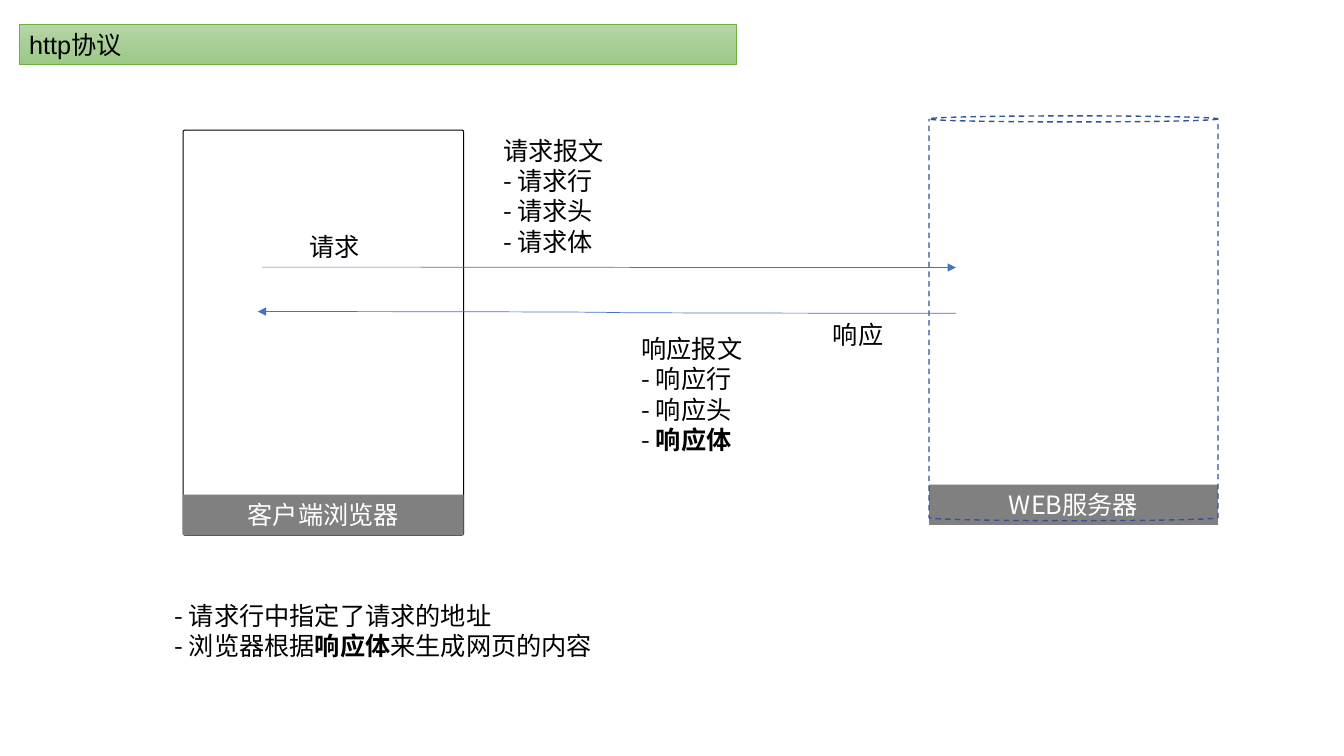
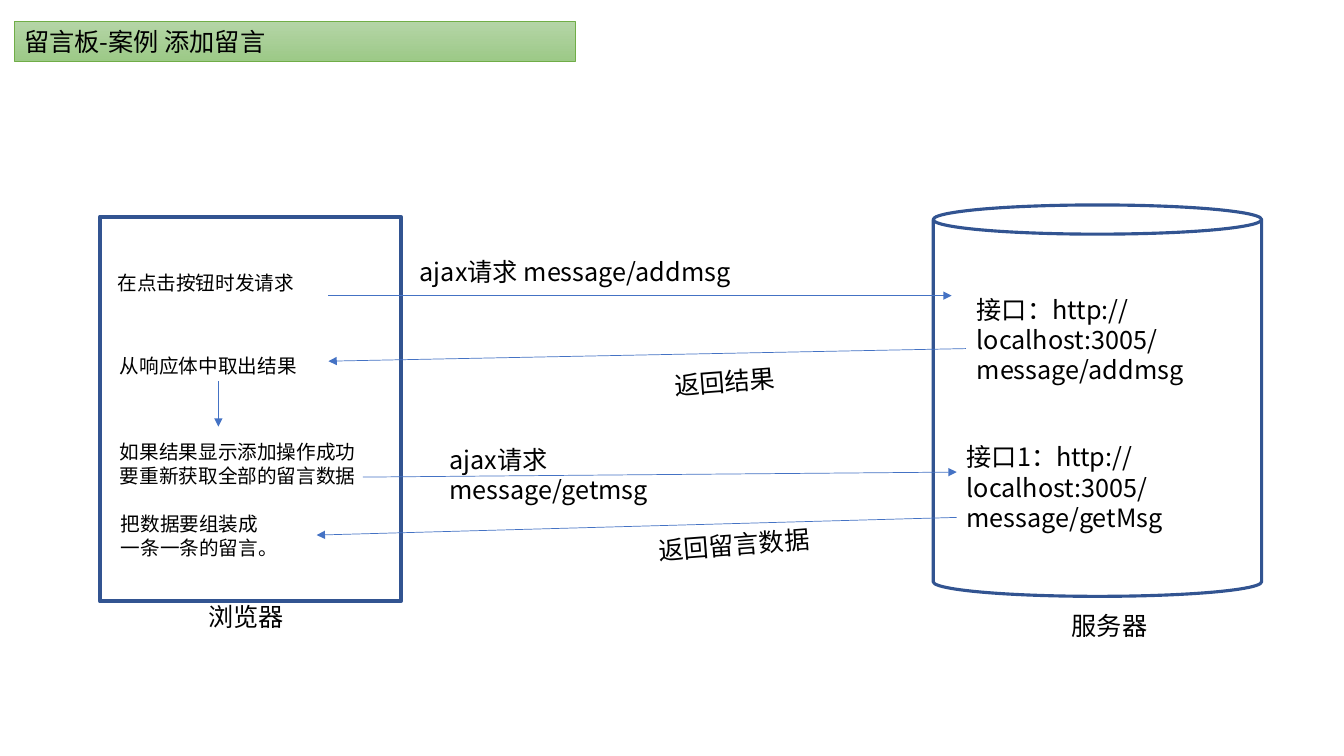
from dataclasses import dataclass

from lxml.etree import SubElement
from pptx import Presentation
from pptx.dml.color import RGBColor
from pptx.enum.dml import MSO_LINE as Dash
from pptx.enum.shapes import MSO_CONNECTOR as Link, MSO_SHAPE as Preset
from pptx.enum.text import MSO_ANCHOR as Anchor, MSO_AUTO_SIZE as AutoSize, PP_ALIGN as Align
from pptx.oxml.ns import qn
from pptx.util import Inches, Pt

# Shared look
CJK, LATIN = "Noto Sans CJK SC", "Arial"
BLACK, WHITE, GRAY = "000000", "FFFFFF", "808080"
NAVY, ARROW_BLUE = "325491", "4472C4"
GREEN_EDGE, GREEN_TOP, GREEN_BOTTOM = "70AD47", "B5D5A7", "9CC987"
BODY, SMALL = 18, 14
TILT = 355.5

# Grid of 160 columns by 90 rows, 12 to the inch
COLUMNS, ROWS, PER_INCH = 160, 90, 12
BAR_ROWS = 4.8


def grid(cells):
    return Inches(cells / PER_INCH)


@dataclass
class Box:
    left: float
    top: float
    width: float
    height: float

    def at(self, column, row, width, height):
        """A smaller box, placed from this box's top left corner."""
        return Box(self.left + column, self.top + row, width, height)

    def bottom_bar(self, drop=0):
        return self.at(0, self.height - BAR_ROWS + drop, self.width, BAR_ROWS)

    def emu(self):
        return [grid(v) for v in (self.left, self.top, self.width, self.height)]


def color(hex_string):
    return RGBColor.from_string(hex_string)


def write(frame, paragraphs, size=BODY, ink=BLACK, latin=CJK, align=None):
    """Fill a text frame; words between asterisks are bold."""
    frame.auto_size = AutoSize.SHAPE_TO_FIT_TEXT
    for index, words in enumerate(paragraphs):
        paragraph = frame.paragraphs[0] if index == 0 else frame.add_paragraph()
        paragraph.alignment = align or Align.LEFT
        for order, part in enumerate(words.split("*")):
            if not part:
                continue
            run = paragraph.add_run()
            run.text = part
            run.font.size = Pt(size)
            run.font.bold = order % 2 == 1
            run.font.color.rgb = color(ink)
            run.font.name = latin
            SubElement(run.font._element, qn("a:ea"), typeface=CJK)


def note(slide, box, column, row, width, *paragraphs, size=BODY, lines=None,
         wrap=False, turn=0, align=None):
    height = 1.2 + (lines or len(paragraphs)) * size / 5
    label = slide.shapes.add_textbox(*box.at(column, row, width, height).emu())
    label.rotation = turn
    label.text_frame.word_wrap = wrap
    write(label.text_frame, paragraphs, size, align=align)


def outline(slide, preset, box, fill=None, edge=None, weight=1, dash=None, corner=None):
    shape = slide.shapes.add_shape(preset, *box.emu())
    shape.shadow.inherit = False
    if corner is not None:
        shape.adjustments[0] = corner
    if fill:
        shape.fill.solid()
        shape.fill.fore_color.rgb = color(fill)
    else:
        shape.fill.background()
    if edge:
        shape.line.color.rgb = color(edge)
        shape.line.width = Pt(weight)
        shape.line.dash_style = dash
    else:
        shape.line.fill.background()
    return shape


def arrow(slide, box, x1, y1, x2, y2, kind=Link.STRAIGHT):
    ends = (box.left + x1, box.top + y1, box.left + x2, box.top + y2)
    link = slide.shapes.add_connector(kind, *[grid(v) for v in ends])
    link.line.color.rgb = color(ARROW_BLUE)
    link.line.width = Pt(0.5)
    properties = link.element.spPr
    SubElement(properties.find(qn("a:ln")), qn("a:tailEnd"), type="triangle")
    SubElement(properties, qn("a:effectLst"))


def title_band(slide, box, title, latin=CJK):
    band = outline(slide, Preset.RECTANGLE, box, edge=GREEN_EDGE, weight=0.5)
    band.fill.gradient()
    band.fill.gradient_angle = 270
    for stop, shade in zip(band.fill.gradient_stops, (GREEN_TOP, GREEN_BOTTOM)):
        stop.color.rgb = color(shade)
    band.text_frame.vertical_anchor = Anchor.MIDDLE
    write(band.text_frame, [title], latin=latin)


def name_bar(slide, box, name):
    bar = outline(slide, Preset.RECTANGLE, box, fill=GRAY)
    bar.text_frame.vertical_anchor = Anchor.MIDDLE
    write(bar.text_frame, [name], ink=WHITE, align=Align.CENTER)


# Slide 1: the protocol
def protocol_hosts(slide, client, server):
    name_bar(slide, server.bottom_bar(drop=0.5), "WEB服务器")
    outline(slide, Preset.ROUNDED_RECTANGLE, client, edge=BLACK, weight=0.75, corner=0.006)
    outline(slide, Preset.CAN, server, edge=NAVY, dash=Dash.DASH, corner=0.021)
    name_bar(slide, client.bottom_bar(), "客户端浏览器")


def protocol_messages(slide, channel):
    arrow(slide, channel, 1.2, 16.8, 83.8, 16.85, Link.CURVE)
    arrow(slide, channel, 83.8, 22.3, 0.7, 22.1, Link.CURVE)
    note(slide, channel, 5.6, 11.9, 8.5, "请求", align=Align.CENTER)
    note(slide, channel, 67.9, 22.4, 8.5, "响应", align=Align.CENTER)
    note(slide, channel, 28.7, 0.5, 14.5, "请求报文", "- 请求行", "- 请求头", "- 请求体")
    note(slide, channel, 45.2, 24.1, 15.4, "响应报文", "- 响应行", "- 响应头", "- *响应体*")


def protocol_slide(slide, page):
    title_band(slide, page.at(2.3, 2.9, 85.4, BAR_ROWS), "http协议", LATIN)
    protocol_hosts(slide, page.at(21.8, 15.5, 33.4, 48.2), page.at(110.6, 13.8, 34.4, 48.2))
    protocol_messages(slide, page.at(30, 15, 84, 40))
    note(slide, page, 19.6, 70.9, 53.3,
         "- 请求行中指定了请求的地址", "- 浏览器根据*响应体*来生成网页的内容")


# Slide 2: the message board
def browser_steps(slide, browser):
    outline(slide, Preset.RECTANGLE, browser, WHITE, NAVY, 3)
    note(slide, browser, 11.7, 45.2, 11.5, "浏览器", wrap=True)
    steps = [
        (0.9, 5.9, 23.6, "在点击按钮时发请求"),
        (1.2, 15.7, 23.6, "从响应体中取出结果"),
        (1.2, 26, 30.7, "如果结果显示添加操作成功", "要重新获取全部的留言数据"),
        (1.3, 34.6, 21.2, "把数据要组装成", "一条一条的留言。"),
    ]
    for step in steps:
        note(slide, browser, *step, size=SMALL)
    arrow(slide, browser, 14.1, 19.6, 14.1, 25)


def server_interfaces(slide, server):
    outline(slide, Preset.CAN, server, WHITE, NAVY, 2.25, corner=0.089)
    note(slide, server, 15.3, 47.7, 11.5, "服务器")
    for column, row, address in [
        (4, 10, "接口：http://localhost:3005/message/addmsg"),
        (2.8, 27.6, "接口1：http://localhost:3005/message/getMsg"),
    ]:
        note(slide, server, column, row, 37, address, lines=3, wrap=True)


def board_messages(slide, channel):
    for ends in [(3.1, 5.2, 77.3, 5.2), (79, 11.5, 3.1, 13),
                 (7.2, 26.8, 77.9, 26.2), (77.9, 31.6, 1.7, 33.7)]:
        arrow(slide, channel, *ends)
    note(slide, channel, 12.8, -0.1, 42.8, "ajax请求 message/addmsg", wrap=True)
    note(slide, channel, 16.3, 22.3, 29.5, "ajax请求", "message/getmsg", wrap=True)
    note(slide, channel, 43.1, 13, 14.5, "返回结果", turn=TILT)
    note(slide, channel, 41.2, 32.4, 20.6, "返回留言数据", turn=TILT)


def board_slide(slide, page):
    title_band(slide, page.at(1.7, 2.5, 66.8, BAR_ROWS), "留言板-案例 添加留言")
    browser_steps(slide, page.at(11.9, 25.8, 35.8, 45.8))
    server_interfaces(slide, page.at(111.1, 24.4, 39.1, 46.6))
    board_messages(slide, page.at(36, 30, 80, 40))


def main():
    deck = Presentation()
    deck.slide_width, deck.slide_height = grid(COLUMNS), grid(ROWS)
    page = Box(0, 0, COLUMNS, ROWS)
    for build in (protocol_slide, board_slide):
        build(deck.slides.add_slide(deck.slide_layouts[6]), page)
    deck.save("out.pptx")


if __name__ == "__main__":
    main()
